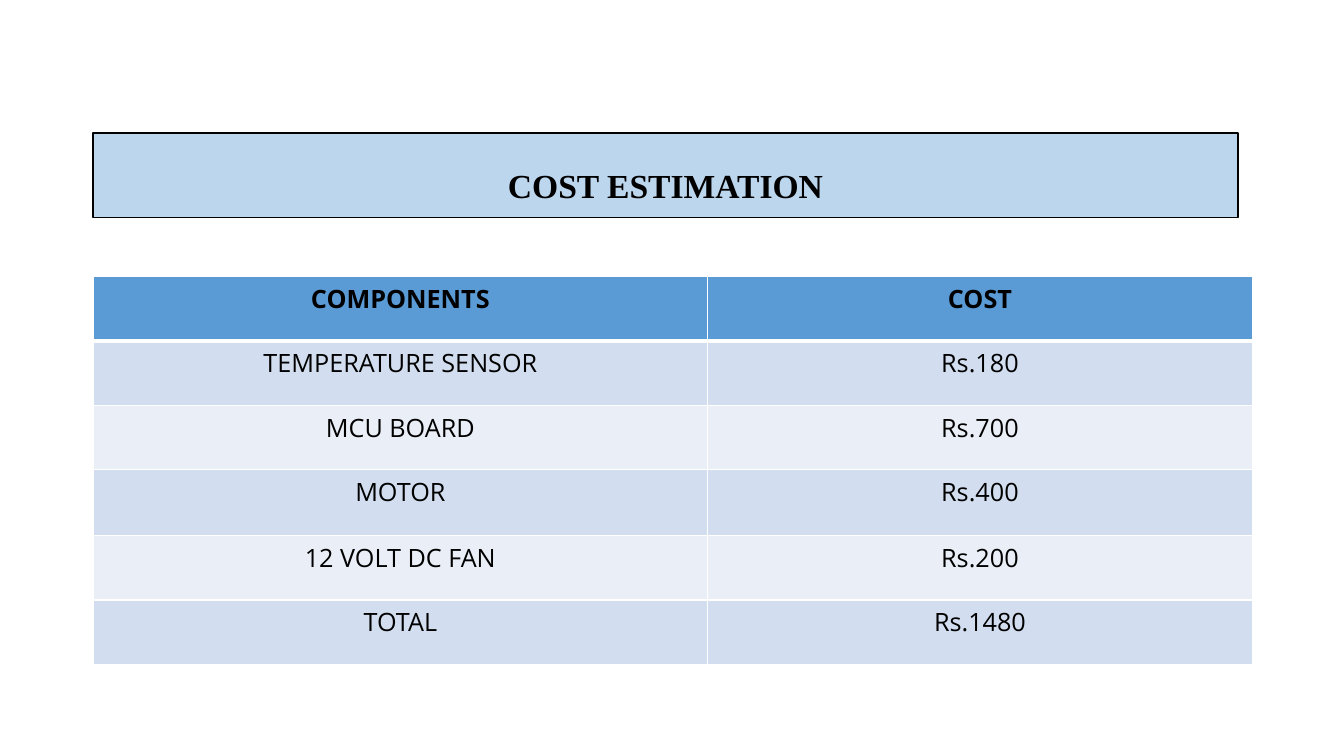
from dataclasses import dataclass

from lxml import etree
from pptx import Presentation
from pptx.dml.color import RGBColor
from pptx.enum import text
from pptx.oxml import ns
from pptx.util import Pt


@dataclass(frozen=True)
class Theme:
    ink: str = "000000"
    banner: str = "BCD6EE"
    header: str = "5B9BD5"
    bands: tuple = ("D2DEEF", "EAEFF7")
    grid: str = "FFFFFF"
    title_font: str = "Times New Roman"
    table_font: str = "Open Sans"
    title_size: int = 24
    table_size: int = 18


THEME = Theme()
COSTS = [
    ("COMPONENTS", "COST"),
    ("TEMPERATURE SENSOR", "Rs.180"),
    ("MCU BOARD", "Rs.700"),
    ("MOTOR", "Rs.400"),
    ("12 VOLT DC FAN", "Rs.200"),
    ("TOTAL", "Rs.1480"),
]
COLUMN_WIDTHS = (439.2, 388.8)
ROW_HEIGHTS = (46, 46, 46, 47.2, 46, 46)
LEFT = 66.4


def paint(fill, color):
    fill.solid()
    fill.fore_color.rgb = RGBColor.from_string(color)


def write(frame, wording, font, size, bold):
    paragraph = frame.paragraphs[0]
    paragraph.alignment = text.PP_ALIGN.CENTER
    run = paragraph.add_run()
    run.text = wording
    run.font.name = font
    run.font.size = Pt(size)
    run.font.bold = bold
    run.font.color.rgb = RGBColor.from_string(THEME.ink)
    return paragraph


def add_heading(slide, wording):
    heading = slide.shapes.title
    heading.left, heading.top = Pt(LEFT), Pt(95)
    heading.width, heading.height = Pt(818), Pt(60.5)
    paint(heading.fill, THEME.banner)
    paint(heading.line.fill, THEME.ink)
    heading.line.width = Pt(1)
    frame = heading.text_frame
    frame.auto_size = text.MSO_AUTO_SIZE.NONE
    frame.vertical_anchor = text.MSO_ANCHOR.MIDDLE
    paragraph = write(frame, wording, THEME.title_font, THEME.title_size, True)
    paragraph.line_spacing = 1.5


def add_borders(cell, top, bottom):
    properties = cell._tc.get_or_add_tcPr()
    for side, width in (("L", 1), ("R", 1), ("T", top), ("B", bottom)):
        border = etree.SubElement(properties, ns.qn(f"a:ln{side}"), w=str(Pt(width)))
        solid = etree.SubElement(border, ns.qn("a:solidFill"))
        etree.SubElement(solid, ns.qn("a:srgbClr"), val=THEME.grid)


def add_cost_table(slide, costs):
    table = slide.shapes.add_table(
        len(costs), len(COLUMN_WIDTHS), Pt(LEFT), Pt(197.4),
        Pt(sum(COLUMN_WIDTHS)), Pt(sum(ROW_HEIGHTS)),
    ).table
    for column, width in zip(table.columns, COLUMN_WIDTHS):
        column.width = Pt(width)
    for index, entries in enumerate(costs):
        table.rows[index].height = Pt(ROW_HEIGHTS[index])
        is_header = index == 0
        color = THEME.header if is_header else THEME.bands[(index - 1) % 2]
        for position, entry in enumerate(entries):
            cell = table.cell(index, position)
            add_borders(cell, 3 if index == 1 else 1, 3 if is_header else 1)
            paint(cell.fill, color)
            write(cell.text_frame, entry, THEME.table_font, THEME.table_size, is_header)


def main():
    deck = Presentation()
    deck.slide_width, deck.slide_height = Pt(960), Pt(540)
    slide = deck.slides.add_slide(deck.slide_layouts[5])
    add_heading(slide, "COST ESTIMATION")
    add_cost_table(slide, COSTS)
    deck.save("out.pptx")


if __name__ == "__main__":
    main()
